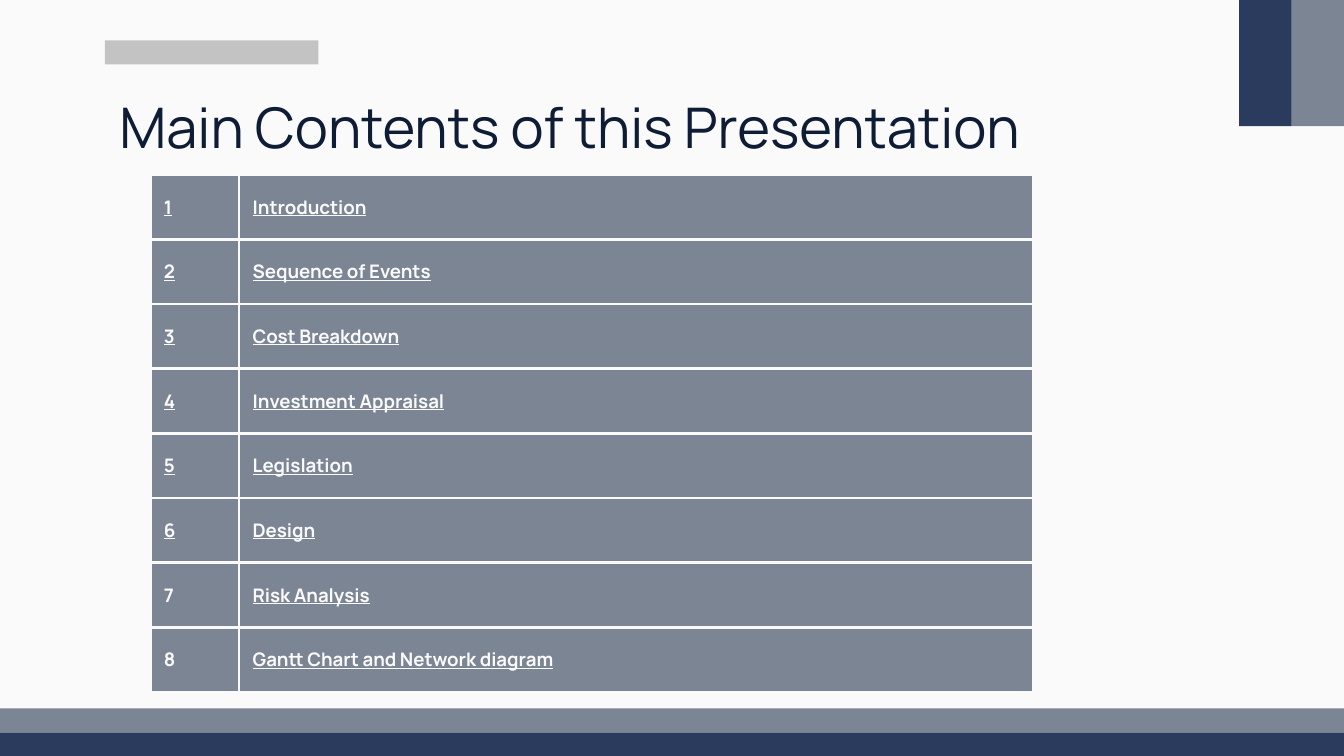
from dataclasses import dataclass

from lxml import etree
from pptx import Presentation
from pptx.dml.color import RGBColor
from pptx.enum import shapes, text
from pptx.oxml import ns
from pptx.util import Inches, Pt

FONT = "Manrope"
PAPER, GREY, SLATE, NAVY, INK = "FAFAFA", "C3C3C3", "7C8594", "2B3B5D", "0E1D35"


@dataclass
class Band:
    left: float
    top: float
    width: float
    height: float
    color: str


@dataclass
class Entry:
    number: str
    title: str
    number_underlined: bool = True


BANDS = [
    Band(0.78, 0.3, 1.59, 0.18, GREY),
    Band(0, 5.45, 10, 0.18, NAVY),
    Band(0, 5.27, 10, 0.18, SLATE),
    Band(9.61, 0, 0.39, 0.94, SLATE),
    Band(9.22, 0, 0.39, 0.94, NAVY),
]

ENTRIES = [
    Entry("1", "Introduction"),
    Entry("2", "Sequence of Events"),
    Entry("3", "Cost Breakdown"),
    Entry("4", "Investment Appraisal"),
    Entry("5", "Legislation"),
    Entry("6", "Design"),
    Entry("7", "Risk Analysis", False),
    Entry("8", "Gantt Chart and Network diagram", False),
]


def paint(target, color: str) -> None:
    target.solid()
    target.fore_color.rgb = RGBColor.from_string(color)


def style_font(font, size: float, color: str) -> None:
    font.name = FONT
    font.size = Pt(size)
    paint(font.fill, color)


def draw_band(page, band: Band) -> None:
    shape = page.shapes.add_shape(
        shapes.MSO_SHAPE.RECTANGLE,
        Inches(band.left), Inches(band.top), Inches(band.width), Inches(band.height),
    )
    shape.shadow.inherit = False
    paint(shape.fill, band.color)
    shape.line.fill.background()


def draw_title(page, wording: str) -> None:
    box = page.shapes.add_textbox(Inches(0.79), Inches(0.59), Inches(8.43), Inches(0.63))
    frame = box.text_frame
    frame.word_wrap = True
    frame.margin_left = frame.margin_right = Inches(0.1)
    frame.margin_top = frame.margin_bottom = Inches(0.1)
    para = frame.paragraphs[0]
    para.text = wording
    style_font(para.font, 30, INK)


def add_borders(cell, color: str, points: float) -> None:
    properties = cell._tc.get_or_add_tcPr()
    for index, side in enumerate(("lnL", "lnR", "lnT", "lnB")):
        line = etree.Element(ns.qn(f"a:{side}"), w=str(Pt(points)))
        fill = etree.SubElement(line, ns.qn("a:solidFill"))
        etree.SubElement(fill, ns.qn("a:srgbClr"), val=color)
        properties.insert(index, line)


def fill_cell(cell, wording: str, underlined: bool) -> None:
    paint(cell.fill, SLATE)
    add_borders(cell, PAPER, 1.5)
    cell.vertical_anchor = text.MSO_ANCHOR.MIDDLE
    cell.margin_left = cell.margin_right = Inches(0.1)
    cell.margin_top = cell.margin_bottom = 0
    para = cell.text_frame.paragraphs[0]
    para.text = wording
    style_font(para.font, 10, PAPER)
    para.font.bold = True
    para.font.underline = underlined


def draw_contents(page, entries: list[Entry]) -> None:
    height = Inches(3.85)
    table = page.shapes.add_table(
        len(entries), 2, Inches(1.12), Inches(1.3), Inches(6.57), height
    ).table
    table.first_row = table.horz_banding = False
    table.columns[0].width = Inches(0.66)
    table.columns[1].width = Inches(5.91)
    for row, entry in zip(table.rows, entries):
        row.height = height // len(entries)
        fill_cell(row.cells[0], entry.number, entry.number_underlined)
        fill_cell(row.cells[1], entry.title, True)


def main() -> None:
    deck = Presentation()
    deck.slide_width = Inches(10)
    deck.slide_height = deck.slide_width * 9 // 16
    page = deck.slides.add_slide(deck.slide_layouts[6])
    paint(page.background.fill, PAPER)
    for band in BANDS:
        draw_band(page, band)
    draw_title(page, "Main Contents of this Presentation")
    draw_contents(page, ENTRIES)
    deck.save("out.pptx")


if __name__ == "__main__":
    main()
